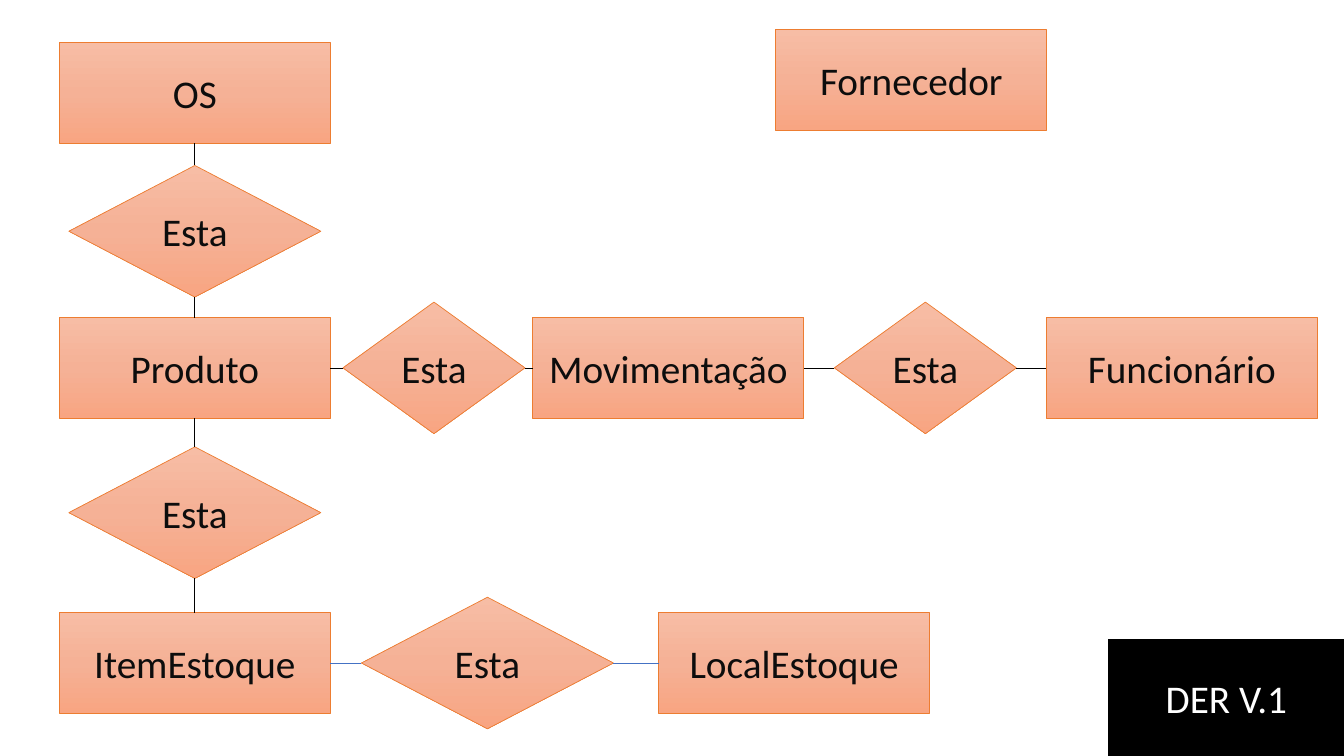
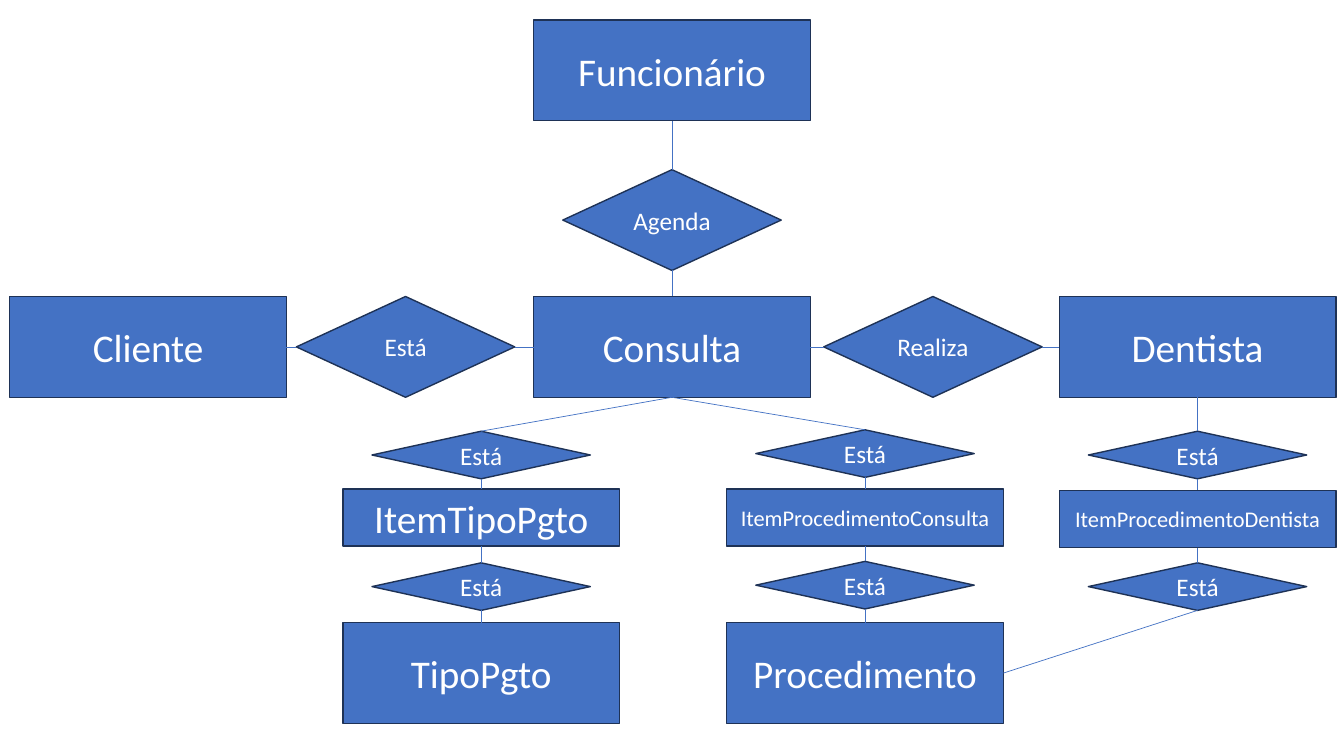
import copy
from collections import namedtuple

import pptx
import pptx.util
import pptx.dml.color
import pptx.enum.shapes
import pptx.enum.text
import pptx.oxml.ns
from lxml import etree

Pt = pptx.util.Pt
RGB = pptx.dml.color.RGBColor
SHAPE = pptx.enum.shapes.MSO_SHAPE

FONT = "Calibri"
BLACK = RGB(0x00, 0x00, 0x00)
WHITE = RGB(0xFF, 0xFF, 0xFF)
INK = RGB(0x0D, 0x0D, 0x0D)
ORANGE = RGB(0xED, 0x7D, 0x31)
PEACH = [RGB(0xF7, 0xBD, 0xA5), RGB(0xF5, 0xB1, 0x96), RGB(0xF8, 0xA5, 0x82)]
BLUE = RGB(0x44, 0x72, 0xC4)
NAVY = RGB(0x1E, 0x32, 0x56)
TOP, LEFT, BOTTOM, RIGHT = range(4)

# A fill is one colour, or a list of colours for a vertical gradient
Theme = namedtuple("Theme", "fill line line_width text")
PEACH_THEME = Theme(PEACH, ORANGE, 0.5, INK)
BLUE_THEME = Theme(BLUE, NAVY, 1, WHITE)
TAG_THEME = Theme(BLACK, BLACK, 1, WHITE)

# Kinds of node: preset, width, height, text size
Kind = namedtuple("Kind", "preset width height size")

# Slide 1: stock diagram
STOCK_ENTITY = Kind(SHAPE.RECTANGLE, 193.6, 72, 28)
STOCK_RELATION = Kind(SHAPE.DIAMOND, 180, 94, 28)
STOCK_NARROW = Kind(SHAPE.DIAMOND, 130, 94, 28)
TAG = Kind(SHAPE.RECTANGLE, 168, 83, 28)
STOCK_X, MIDDLE_Y, STOCK_Y = 139.2, 262.8, 473.6

# key: (kind, text, centre x, centre y)
STOCK_NODES = {
    "os": (STOCK_ENTITY, "OS", STOCK_X, 66.4),
    "supplier": (STOCK_ENTITY, "Fornecedor", 651, 57.2),
    "product": (STOCK_ENTITY, "Produto", STOCK_X, MIDDLE_Y),
    "movement": (STOCK_ENTITY, "Movimentação", 477.4, MIDDLE_Y),
    "employee": (STOCK_ENTITY, "Funcionário", 844.2, MIDDLE_Y),
    "item": (STOCK_ENTITY, "ItemEstoque", STOCK_X, STOCK_Y),
    "place": (STOCK_ENTITY, "LocalEstoque", 567.2, STOCK_Y),
    "os-product": (STOCK_RELATION, "Esta", STOCK_X, 165.2),
    "product-item": (STOCK_RELATION, "Esta", STOCK_X, 366.2),
    "item-place": (STOCK_RELATION, "Esta", 348.2, STOCK_Y),
    "product-movement": (STOCK_NARROW, "Esta", 310, MIDDLE_Y),
    "movement-employee": (STOCK_NARROW, "Esta", 661, MIDDLE_Y),
}
TAG_NODE = {"tag": (TAG, "DER V.1", 876, 498.5)}
# Chains of nodes, each read downwards or rightwards
STOCK_DOWN = [["os", "os-product", "product", "product-item", "item"]]
STOCK_ACROSS = [["product", "product-movement", "movement",
                 "movement-employee", "employee"]]
PLACE_ACROSS = [["item", "item-place", "place"]]

# Slide 2: clinic diagram
ENTITY = Kind(SHAPE.RECTANGLE, 197.6, 72, 28)
ITEM = Kind(SHAPE.RECTANGLE, 197.6, 41, 28)
LONG_ITEM = ITEM._replace(size=16)
RELATION = Kind(SHAPE.DIAMOND, 156, 72, 18)
FLAT_RELATION = Kind(SHAPE.DIAMOND, 156, 34, 18)
VISIT_X, PAY_X, PROC_X, DENTIST_X = 480, 343.7, 617.9, 855.4
VISIT_Y, BASE_Y = 247.8, 480.8

CLINIC_NODES = {
    "employee": (ENTITY, "Funcionário", VISIT_X, 50.3),
    "client": (ENTITY, "Cliente", 105.8, VISIT_Y),
    "visit": (ENTITY, "Consulta", VISIT_X, VISIT_Y),
    "dentist": (ENTITY, "Dentista", DENTIST_X, VISIT_Y),
    "payment": (ENTITY, "TipoPgto", PAY_X, BASE_Y),
    "procedure": (ENTITY, "Procedimento", PROC_X, BASE_Y),
    "schedules": (RELATION, "Agenda", VISIT_X, 157.2),
    "client-visit": (RELATION, "Está", 289.7, VISIT_Y),
    "performs": (RELATION, "Realiza", 666.4, VISIT_Y),
    "payment-item": (ITEM, "ItemTipoPgto", PAY_X, 369.7),
    "visit-item": (LONG_ITEM, "ItemProcedimentoConsulta", PROC_X, 369.7),
    "dentist-item": (LONG_ITEM, "ItemProcedimentoDentista", DENTIST_X, 370.7),
}
# Flat diamonds above and below each item
for branch, x, upper_y in (("payment", PAY_X, 325), ("visit", PROC_X, 324),
                           ("dentist", DENTIST_X, 325)):
    CLINIC_NODES[branch + "-upper"] = (FLAT_RELATION, "Está", x, upper_y)
    CLINIC_NODES[branch + "-lower"] = (FLAT_RELATION, "Está", x, upper_y + 94)
CLINIC_DOWN = [
    ["employee", "schedules", "visit"],
    ["visit", "payment-upper", "payment-item", "payment-lower", "payment"],
    ["visit", "visit-upper", "visit-item", "visit-lower", "procedure"],
    ["dentist", "dentist-upper", "dentist-item", "dentist-lower"],
]
CLINIC_ACROSS = [["client", "client-visit", "visit", "performs", "dentist"]]


def paint(sp, fill):
    if isinstance(fill, RGB):
        sp.fill.solid()
        sp.fill.fore_color.rgb = fill
        return
    sp.fill.gradient()
    sp.fill.gradient_angle = 270
    stops = sp._element.spPr.find(".//" + pptx.oxml.ns.qn("a:gsLst"))
    while len(stops) < len(fill):
        stops.append(copy.deepcopy(stops[0]))
    for i, (stop, color) in enumerate(zip(sp.fill.gradient_stops, fill)):
        stop.position = i / (len(fill) - 1)
        stop.color.rgb = color


def add_nodes(slide, nodes, theme):
    shapes = {}
    for key, (kind, text, x, y) in nodes.items():
        sp = slide.shapes.add_shape(
            kind.preset, Pt(x - kind.width / 2), Pt(y - kind.height / 2),
            Pt(kind.width), Pt(kind.height))
        sp.shadow.inherit = False
        paint(sp, theme.fill)
        sp.line.color.rgb = theme.line
        sp.line.width = Pt(theme.line_width)
        tf = sp.text_frame
        tf.word_wrap = True
        tf.vertical_anchor = pptx.enum.text.MSO_ANCHOR.MIDDLE
        p = tf.paragraphs[0]
        p.alignment = pptx.enum.text.PP_ALIGN.CENTER
        r = p.add_run()
        r.text = text
        r.font.name = FONT
        r.font.size = Pt(kind.size)
        r.font.color.rgb = theme.text
        shapes[key] = sp
    return shapes


def link(slide, start, start_side, end, end_side, color):
    line = slide.shapes.add_connector(
        pptx.enum.shapes.MSO_CONNECTOR.STRAIGHT, 0, 0, 0, 0)
    line.begin_connect(start, start_side)
    line.end_connect(end, end_side)
    line.line.color.rgb = color
    line.line.width = Pt(0.5)
    etree.SubElement(line._element.spPr, pptx.oxml.ns.qn("a:effectLst"))


def link_chains(slide, shapes, chains, start_side, end_side, color):
    for chain in chains:
        for start, end in zip(chain, chain[1:]):
            link(slide, shapes[start], start_side, shapes[end], end_side, color)


def main():
    prs = pptx.Presentation()
    prs.slide_width, prs.slide_height = Pt(960), Pt(540)
    blank = prs.slide_layouts[6]

    # Stock diagram with its version tag
    s = prs.slides.add_slide(blank)
    shapes = add_nodes(s, STOCK_NODES, PEACH_THEME)
    add_nodes(s, TAG_NODE, TAG_THEME)
    link_chains(s, shapes, STOCK_DOWN, BOTTOM, TOP, BLACK)
    link_chains(s, shapes, STOCK_ACROSS, RIGHT, LEFT, BLACK)
    link_chains(s, shapes, PLACE_ACROSS, RIGHT, LEFT, BLUE)

    # Clinic diagram
    s = prs.slides.add_slide(blank)
    shapes = add_nodes(s, CLINIC_NODES, BLUE_THEME)
    link_chains(s, shapes, CLINIC_DOWN, BOTTOM, TOP, BLUE)
    link_chains(s, shapes, CLINIC_ACROSS, RIGHT, LEFT, BLUE)
    link(s, shapes["dentist-lower"], BOTTOM, shapes["procedure"], RIGHT, BLUE)

    prs.save("out.pptx")


if __name__ == "__main__":
    main()
